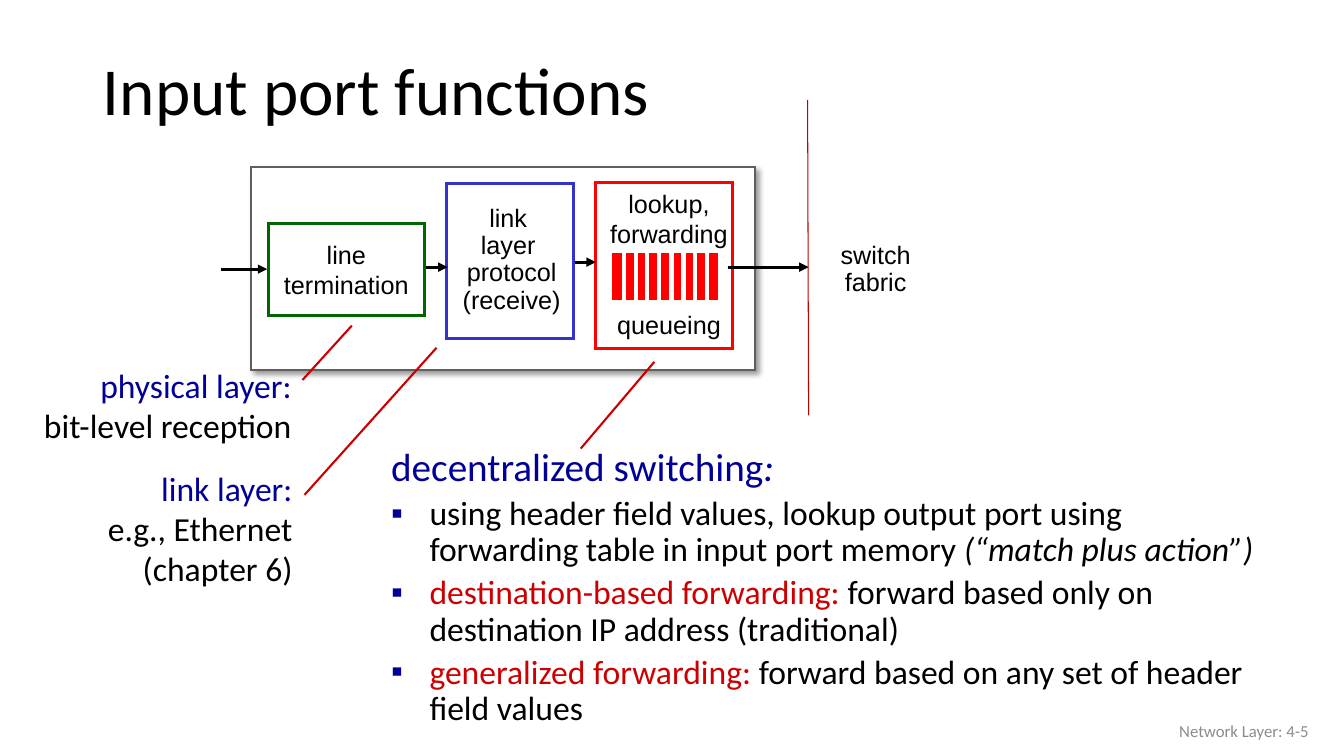
from lxml import etree
from pptx import Presentation
from pptx.dml.color import RGBColor
from pptx.enum.shapes import MSO_CONNECTOR, MSO_SHAPE
from pptx.enum.text import MSO_ANCHOR as ANCHOR, MSO_AUTO_SIZE as AUTO, PP_ALIGN as ALIGN
from pptx.oxml.ns import qn
from pptx.util import Emu, Pt

PX = 9144  # 100 px to the inch
BLACK, WHITE, NAVY, RED, CRIMSON = "000000", "FFFFFF", "000099", "FF0000", "CC0000"

TITLE = "Input port functions"
FOOTER = "Network Layer: 4-5"

# Each paragraph: size, bulleted, runs of (text, colour, italic)
BODY = [
    (28, False, [("decentralized switching", NAVY, False), (":", NAVY, True)]),
    (24, True, [("using header field values, lookup output port using forwarding table "
                 "in input port memory ", BLACK, False),
                ("(“match plus action”)", BLACK, True)]),
    (24, True, [("destination-based forwarding: ", CRIMSON, False),
                ("forward based only on destination IP address (traditional)", BLACK, False)]),
    (24, True, [("generalized forwarding: ", CRIMSON, False),
                ("forward based on any set of header field values", BLACK, False)]),
]

# left, top, width, height, line colour
STAGES = [
    (266, 222, 155, 91, "006600"),
    (443, 182, 126, 154, "3333CC"),
    (591, 181, 136, 165, RED),
]
# left, top, width, height, anchor, line spacing, lines
STAGE_LABELS = [
    (266, 222, 155, 91, ANCHOR.MIDDLE, 1.0, ["line", "termination"]),
    (437, 193, 141, 130, ANCHOR.MIDDLE, 0.9, ["link ", "layer ", "protocol", "(receive)"]),
    (595, 182, 137, 70, ANCHOR.TOP, 1.0, ["lookup,", "forwarding"]),
    (595, 302, 137, 40, ANCHOR.TOP, 1.0, ["queueing"]),
    (811, 222, 115, 91, ANCHOR.MIDDLE, 0.9, ["switch", "fabric"]),
]
# left, top, width, height, lines; the first line is the coloured heading
LAYER_NOTES = [
    (28, 357, 271, 91, ["physical layer:", "bit-level reception"]),
    (95, 459, 205, 131, ["link layer:", "e.g., Ethernet", "(chapter 6)"]),
]
# from x, from y, to x, to y
ARROWS = [(219, 267, 265, 267), (423, 265, 444, 265), (570, 260, 591, 260), (722, 265, 802, 265)]
POINTERS = [(300, 377, 349, 323), (576, 445, 649, 359), (302, 491, 433, 345)]
FABRIC_EDGE = (801, 99, 802, 412)
QUEUE = (605, 249, 109, 51)
QUEUE_GAPS, FIRST_GAP, LAST_GAP = 8, 619, 701


def color(value):
    return RGBColor.from_string(value)


def px(*lengths):
    return [Emu(n * PX) for n in lengths]


def place(s, box):
    s.left, s.top, s.width, s.height = px(*box)


def add_run(p, text, size, fill, font="Calibri", italic=False):
    r = p.add_run()
    r.text = text
    r.font.name, r.font.size, r.font.italic = font, Pt(size), italic
    r.font.color.rgb = color(fill)


def add_box(shapes, box, line, width, fill):
    """Add a filled rectangle with square corners."""
    s = shapes.add_shape(MSO_SHAPE.RECTANGLE, *px(*box))
    s.shadow.inherit = False
    s.fill.solid()
    s.fill.fore_color.rgb = color(fill)
    s.line.color.rgb, s.line.width = color(line), Pt(width)
    etree.SubElement(s.line._get_or_add_ln(), qn("a:miter"), lim="800000")
    return s


def add_line(shapes, ends, line, width, arrow=False):
    s = shapes.add_connector(MSO_CONNECTOR.STRAIGHT, *px(*ends))
    s.line.color.rgb, s.line.width = color(line), Pt(width)
    if arrow:
        etree.SubElement(s.line._get_or_add_ln(), qn("a:tailEnd"), type="triangle")
    etree.SubElement(s._element.spPr, qn("a:effectLst"))


def add_text(shapes, box, lines, align, anchor, wrap=False, spacing=1.0):
    """Add a text box; each line is the (text, size, colour, font) of one paragraph."""
    tf = shapes.add_textbox(*px(*box)).text_frame
    tf.word_wrap, tf.vertical_anchor = wrap, anchor
    for i, line in enumerate(lines):
        p = tf.add_paragraph() if i else tf.paragraphs[0]
        p.alignment, p.line_spacing = align, spacing
        add_run(p, *line)


def add_shadow(s):
    effects = s._element.spPr.find(qn("a:effectLst"))
    outer = etree.SubElement(effects, qn("a:outerShdw"), blurRad=str(Pt(4)), dist=str(Pt(3)),
                             dir="2700000", algn="tl", rotWithShape="0")
    shade = etree.SubElement(outer, qn("a:srgbClr"), val=BLACK)
    etree.SubElement(shade, qn("a:alpha"), val="40000")


def set_bullet(p, bulleted):
    """Hang the paragraph by 38 px, with a navy square if bulleted."""
    pPr = p._p.get_or_add_pPr()
    pPr.set("marL", str(38 * PX))
    pPr.set("indent", str(-38 * PX))
    if bulleted:
        tint = etree.SubElement(pPr, qn("a:buClr"))
        etree.SubElement(tint, qn("a:srgbClr"), val=NAVY)
        etree.SubElement(pPr, qn("a:buFont"), typeface="Arial")
        etree.SubElement(pPr, qn("a:buChar"), char="▪")
    else:
        etree.SubElement(pPr, qn("a:buNone"))


def fill_title(s):
    place(s, (92, 44, 1150, 98))
    tf = s.text_frame
    tf.auto_size, tf.vertical_anchor = AUTO.NONE, ANCHOR.MIDDLE
    p = tf.paragraphs[0]
    p.alignment, p.line_spacing = ALIGN.LEFT, 0.9
    add_run(p, TITLE, 48, BLACK)


def fill_body(s):
    place(s, (378, 439, 896, 292))
    tf = s.text_frame
    tf.auto_size, tf.vertical_anchor, tf.word_wrap = AUTO.NONE, ANCHOR.TOP, True
    for i, (size, bulleted, runs) in enumerate(BODY):
        p = tf.add_paragraph() if i else tf.paragraphs[0]
        p.alignment, p.line_spacing = ALIGN.LEFT, 0.9
        p.space_before = Pt(size * 0.2 if i else 0)
        set_bullet(p, bulleted)
        for text, fill, italic in runs:
            add_run(p, text, size, fill, italic=italic)


def draw_port(shapes):
    add_shadow(add_box(shapes, (249, 166, 500, 201), "5F5F5F", 1.5, WHITE))
    for *box, line in STAGES:
        add_box(shapes, box, line, 2.25, WHITE)
    add_line(shapes, FABRIC_EDGE, "C00000", 0.75)
    for ends in ARROWS:
        add_line(shapes, ends, BLACK, 2.25, arrow=True)

    add_box(shapes, QUEUE, WHITE, 3, RED)
    step = (LAST_GAP - FIRST_GAP) / (QUEUE_GAPS - 1)
    for i in range(QUEUE_GAPS):
        x = round(FIRST_GAP + i * step)
        add_line(shapes, (x, 250, x, 299), WHITE, 3)

    for *box, anchor, spacing, lines in STAGE_LABELS:
        add_text(shapes, box, [(text, 18, BLACK, "Arial") for text in lines],
                 ALIGN.CENTER, anchor, spacing=spacing)


def main():
    prs = Presentation()
    prs.slide_width, prs.slide_height = px(1333, 750)
    slide = prs.slides.add_slide(prs.slide_layouts[1])
    shapes = slide.shapes
    fill_title(shapes.title)
    fill_body(slide.placeholders[1])
    draw_port(shapes)
    for *box, lines in LAYER_NOTES:
        add_text(shapes, box, [(text, 24, BLACK if i else NAVY) for i, text in enumerate(lines)],
                 ALIGN.RIGHT, ANCHOR.TOP)
    for ends in POINTERS:
        add_line(shapes, ends, CRIMSON, 1.5)
    add_text(shapes, (1008, 705, 300, 40), [(FOOTER, 12, "8C8C8C")],
             ALIGN.RIGHT, ANCHOR.MIDDLE, wrap=True)
    prs.save("out.pptx")


if __name__ == "__main__":
    main()
